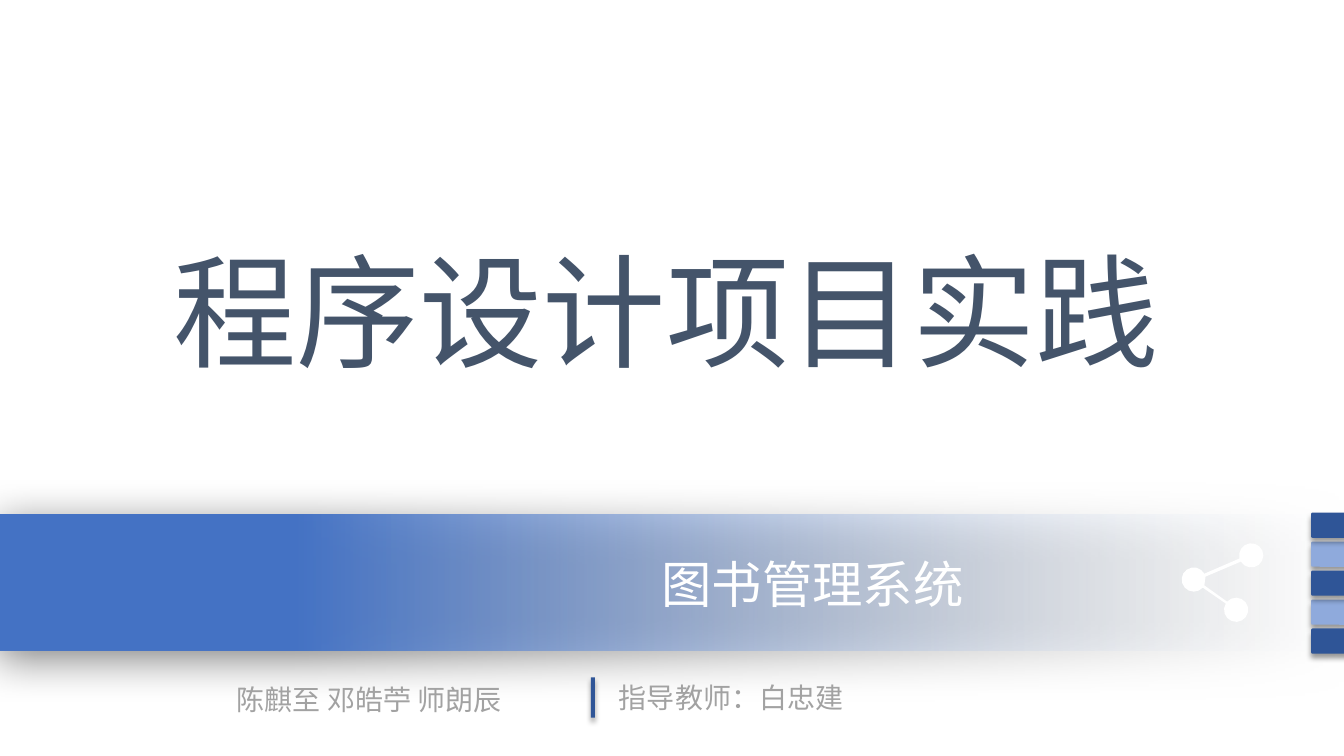
import math

from lxml import etree
from pptx import Presentation
from pptx import util as u
from pptx.dml.color import RGBColor
from pptx.enum import shapes, text
from pptx.oxml.ns import qn

COLORS = {
    "band": "4472C4", "fade": "F7FAFD", "dark": "2F5597", "light": "8FAADC",
    "title": "44546A", "names": "A2A2A2", "white": "FFFFFF", "shadow": "000000",
}
CJK = "Noto Sans CJK SC"


class CoverSlide:
    def __init__(self, deck):
        self.page = deck.slides.add_slide(deck.slide_layouts[6])

    def color(self, name):
        return RGBColor.from_string(COLORS[name])

    def group(self):
        return self.page.shapes.add_group_shape().shapes

    def cast_shadow(self, shape, opacity, blur, distance, angle):
        shape.shadow.inherit = False
        effects = shape.element.spPr.find(qn("a:effectLst"))
        outer = etree.SubElement(
            effects, qn("a:outerShdw"), blurRad=str(u.Pt(blur)),
            dist=str(u.Pt(distance)), dir=str(angle * 60000),
            algn="ctr", rotWithShape="0")
        tone = etree.SubElement(outer, qn("a:srgbClr"), val=COLORS["shadow"])
        etree.SubElement(tone, qn("a:alpha"), val=str(opacity * 1000))

    def block(self, parent, kind, *place):
        shape = parent.add_shape(kind, *map(u.Inches, place))
        shape.line.fill.background()
        return shape

    def band(self, *place):
        shape = self.block(self.page.shapes, shapes.MSO_SHAPE.RECTANGLE, *place)
        shape.fill.gradient()
        shape.fill.gradient_angle = 180
        clear, solid = shape.fill.gradient_stops
        clear.color.rgb = self.color("fade")
        clear.position = 0
        solid.color.rgb = self.color("band")
        solid.position = 0.78
        tone = next(shape.element.spPr.iter(qn("a:srgbClr")))
        etree.SubElement(tone, qn("a:alpha"), val="0")
        self.cast_shadow(shape, 50, 31, 6, 97)

    def bar(self, parent, *place, color, rotation):
        shape = self.block(parent, shapes.MSO_SHAPE.ROUNDED_RECTANGLE, *place)
        shape.adjustments[0] = 0.05
        shape.rotation = rotation
        shape.fill.solid()
        shape.fill.fore_color.rgb = self.color(color)
        self.cast_shadow(shape, 40, 4, 3, 90)

    def label(self, parent, *place, words, size, color, font=CJK, wrap=True):
        box = parent.add_textbox(*map(u.Inches, place))
        frame = box.text_frame
        frame.word_wrap = wrap
        frame.auto_size = text.MSO_AUTO_SIZE.SHAPE_TO_FIT_TEXT
        para = frame.paragraphs[0]
        span = para.add_run()
        span.text = words
        span.font.size = u.Pt(size)
        span.font.color.rgb = self.color(color)
        span.font.name = font
        etree.SubElement(span.font._element, qn("a:ea"), typeface=font)

    def outline(self, points, color):
        scaled = [(u.Inches(x), u.Inches(y)) for x, y in points]
        builder = self.page.shapes.build_freeform(*scaled[0])
        builder.add_line_segments(scaled[1:], close=True)
        shape = builder.convert_to_shape()
        shape.fill.solid()
        shape.fill.fore_color.rgb = self.color(color)
        shape.line.fill.background()
        shape.shadow.inherit = False


def arc(center, start, end, steps, radius=0.12):
    angles = [math.radians(start + (end - start) * i / steps) for i in range(steps + 1)]
    return [(center[0] + radius * math.cos(a), center[1] + radius * math.sin(a))
            for a in angles]


def share_icon():
    upper, hub, lower = (12.41, 5.51), (11.84, 5.75), (12.26, 6.05)
    return (arc(upper, 165, 509, 14) + arc(hub, -14, 29, 1)
            + arc(lower, 222, 571, 14) + arc(hub, 42, 331, 12))


def main():
    deck = Presentation()
    deck.slide_width, deck.slide_height = u.Inches(13.33), u.Inches(7.5)
    cover = CoverSlide(deck)
    cover.band(-0.01, 5.1, 13.33, 1.35)
    tabs = cover.group()
    for row in (3, 4, 1, 2, 0):
        cover.bar(tabs, 13.08, 5.01 + row * 1.15 / 4, 0.25, 0.4,
                  color="light" if row % 2 else "dark", rotation=270)
    cover.bar(cover.page.shapes, 5.86, 6.72, 0.04, 0.4, color="dark", rotation=180)
    credits = cover.group()
    cover.label(credits, 2.25, 6.72, 3.74, 0.44,
                words="陈麒至 邓皓苧 师朗辰", size=20, color="names")
    cover.label(credits, 6.04, 6.7, 3.22, 0.44,
                words="指导教师：白忠建", size=20, color="names")
    cover.label(cover.page.shapes, 1.62, 2.29, 10.07, 1.58,
                words="程序设计项目实践", size=88, color="title", wrap=False)
    cover.label(cover.page.shapes, 6.46, 5.44, 3.96, 0.71,
                words="图书管理系统", size=36, color="white", font="Karla")
    cover.outline(share_icon(), "white")
    deck.save("out.pptx")


if __name__ == "__main__":
    main()
